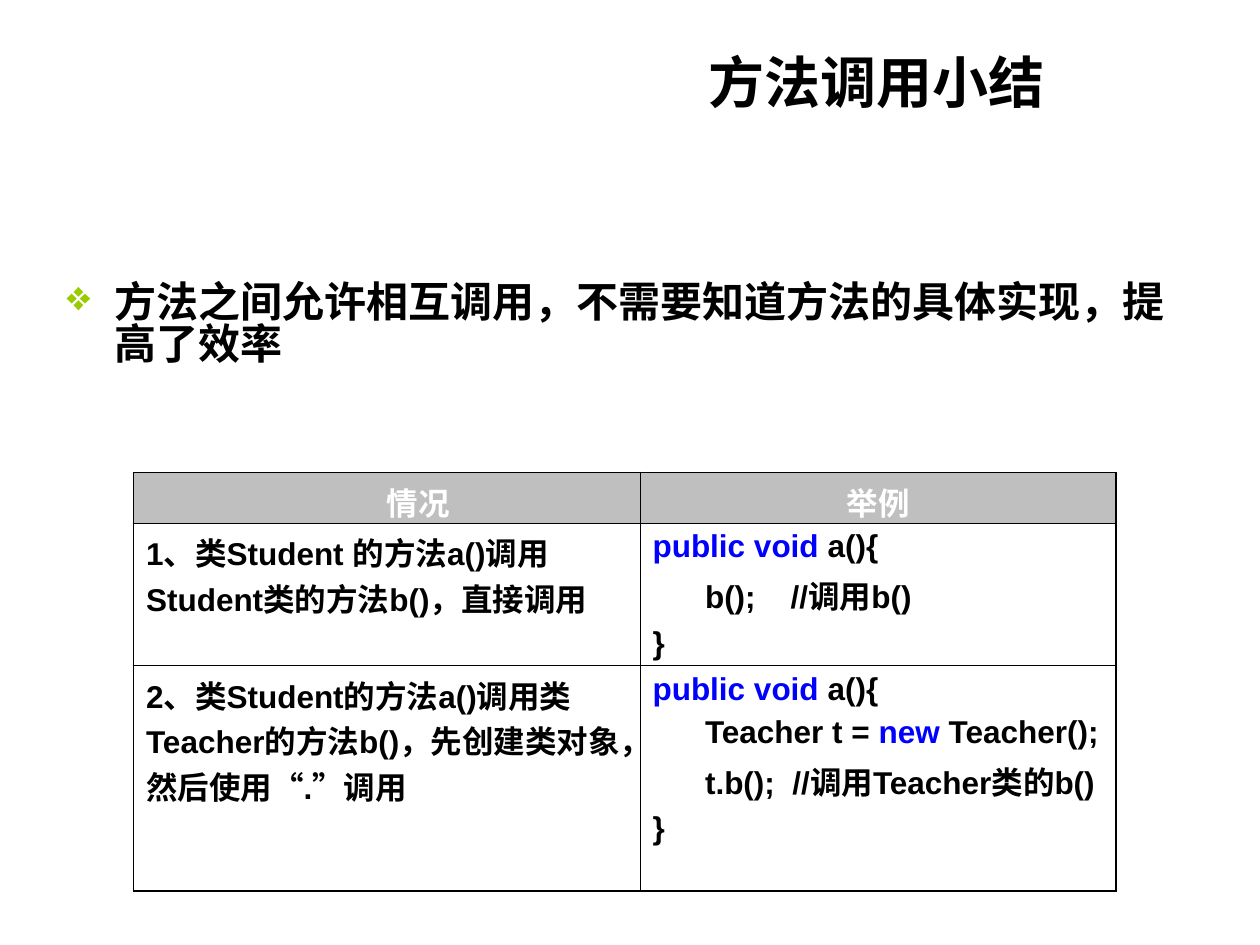
from dataclasses import dataclass

from lxml.etree import SubElement
from pptx import Presentation
from pptx.dml.color import RGBColor
from pptx.enum.text import MSO_ANCHOR as Anchor, PP_ALIGN as Align
from pptx.oxml.ns import qn
from pptx.util import Inches, Pt

BLACK = RGBColor(0x00, 0x00, 0x00)
WHITE = RGBColor(0xFF, 0xFF, 0xFF)
GREY = RGBColor(0x80, 0x80, 0x80)
BLUE = RGBColor(0x00, 0x00, 0xFF)
GREEN = RGBColor(0x99, 0xCC, 0x00)
FONT = "Arial"
OUTER, INNER = 1.08, 0.45
COL_WIDTHS = (4.02, 3.78)
ROW_HEIGHTS = (0.4, 1.13, 1.79)


@dataclass(frozen=True)
class Code:
    text: str
    color: RGBColor = BLACK


@dataclass(frozen=True)
class Cell:
    lines: tuple[tuple[Code, ...], ...]
    header: bool = False
    indent: float = 0


SIGNATURE = (Code("public void", BLUE), Code(" a(){"))
CLOSING = (Code("}"),)
CELLS = (
    (Cell(((Code("情况", WHITE),),), True, 0.5),
     Cell(((Code("举例", WHITE),),), True)),
    (Cell(((Code("1、类Student 的方法a()调用Student类的方法b()，直接调用"),),)),
     Cell((SIGNATURE, (Code("      b();    //调用b()"),), CLOSING))),
    (Cell(((Code("2、类Student的方法a()调用类Teacher的方法b()，先创建类对象，然后使用“.”调用"),),)),
     Cell((SIGNATURE,
           (Code("      Teacher t = "), Code("new", BLUE), Code(" Teacher();")),
           (Code("      t.b();  //调用Teacher类的b()"),),
           CLOSING))),
)


def set_font(p, size: float) -> None:
    p.font.name = FONT
    p.font.size = Pt(size)
    p.font.bold = True


def add_text(s, box: tuple[float, float, float, float], text: str, size: float):
    tf = s.shapes.add_textbox(*(Inches(v) for v in box)).text_frame
    tf.word_wrap = True
    p = tf.paragraphs[0]
    p.text = text
    set_font(p, size)
    p.font.color.rgb = BLACK
    return tf


def set_bullet(p, char: str, color: RGBColor, indent: float) -> None:
    props = p._p.get_or_add_pPr()
    props.set("marL", str(Inches(indent)))
    props.set("indent", str(-Inches(indent)))
    bullet_color = SubElement(props, qn("a:buClr"))
    SubElement(bullet_color, qn("a:srgbClr"), val=str(color))
    SubElement(props, qn("a:buChar"), char=char)
    font = props.find(qn("a:defRPr"))
    if font is not None:
        props.append(font)


def set_borders(cell, widths: dict[str, float]) -> None:
    props = cell._tc.get_or_add_tcPr()
    for side, width in widths.items():
        ln = SubElement(props, qn(f"a:ln{side}"), w=str(Pt(width)))
        fill = SubElement(ln, qn("a:solidFill"))
        SubElement(fill, qn("a:srgbClr"), val=str(BLACK))


def fill_cell(cell, content: Cell) -> None:
    cell.fill.solid()
    cell.fill.fore_color.rgb = GREY if content.header else WHITE
    if content.header:
        color = cell._tc.tcPr.find(qn("a:solidFill"))[0]
        SubElement(color, qn("a:alpha"), val="50000")
        cell.vertical_anchor = Anchor.MIDDLE
    tf = cell.text_frame
    for i, line in enumerate(content.lines):
        p = tf.add_paragraph() if i else tf.paragraphs[0]
        if i:
            p.space_before = Pt(4.5)
        if content.header:
            p.alignment = Align.CENTER
        if content.indent:
            p._p.get_or_add_pPr().set("marL", str(Inches(content.indent)))
        set_font(p, 18)
        for code in line:
            r = p.add_run()
            r.text = code.text
            r.font.color.rgb = code.color


def add_cases(s) -> None:
    rows, cols = len(ROW_HEIGHTS), len(COL_WIDTHS)
    table = s.shapes.add_table(
        rows, cols, Inches(1.06), Inches(3.75),
        Inches(sum(COL_WIDTHS)), Inches(sum(ROW_HEIGHTS))).table
    table.first_row = table.horz_banding = False
    for column, width in zip(table.columns, COL_WIDTHS):
        column.width = Inches(width)
    for i, height in enumerate(ROW_HEIGHTS):
        table.rows[i].height = Inches(height)
        for j, content in enumerate(CELLS[i]):
            cell = table.cell(i, j)
            edges = {"L": j == 0, "R": j == cols - 1, "T": i == 0, "B": i == rows - 1}
            set_borders(cell, {k: OUTER if v else INNER for k, v in edges.items()})
            fill_cell(cell, content)


def main() -> None:
    prs = Presentation()
    prs.slide_width, prs.slide_height = Inches(10), Inches(7.5)
    s = prs.slides.add_slide(prs.slide_layouts[6])

    title = add_text(s, (2.48, 0.33, 5.91, 0.63), "方法调用小结", 32)
    title.vertical_anchor = Anchor.MIDDLE
    title.paragraphs[0].alignment = Align.RIGHT

    point = add_text(s, (0.43, 2.17, 9, 0.91),
                     "方法之间允许相互调用，不需要知道方法的具体实现，提高了效率", 24)
    point.margin_top = Inches(0.09)
    set_bullet(point.paragraphs[0], "❖", GREEN, 0.38)
    point.paragraphs[0].line_spacing = 0.82

    add_cases(s)
    prs.save("out.pptx")


if __name__ == "__main__":
    main()
